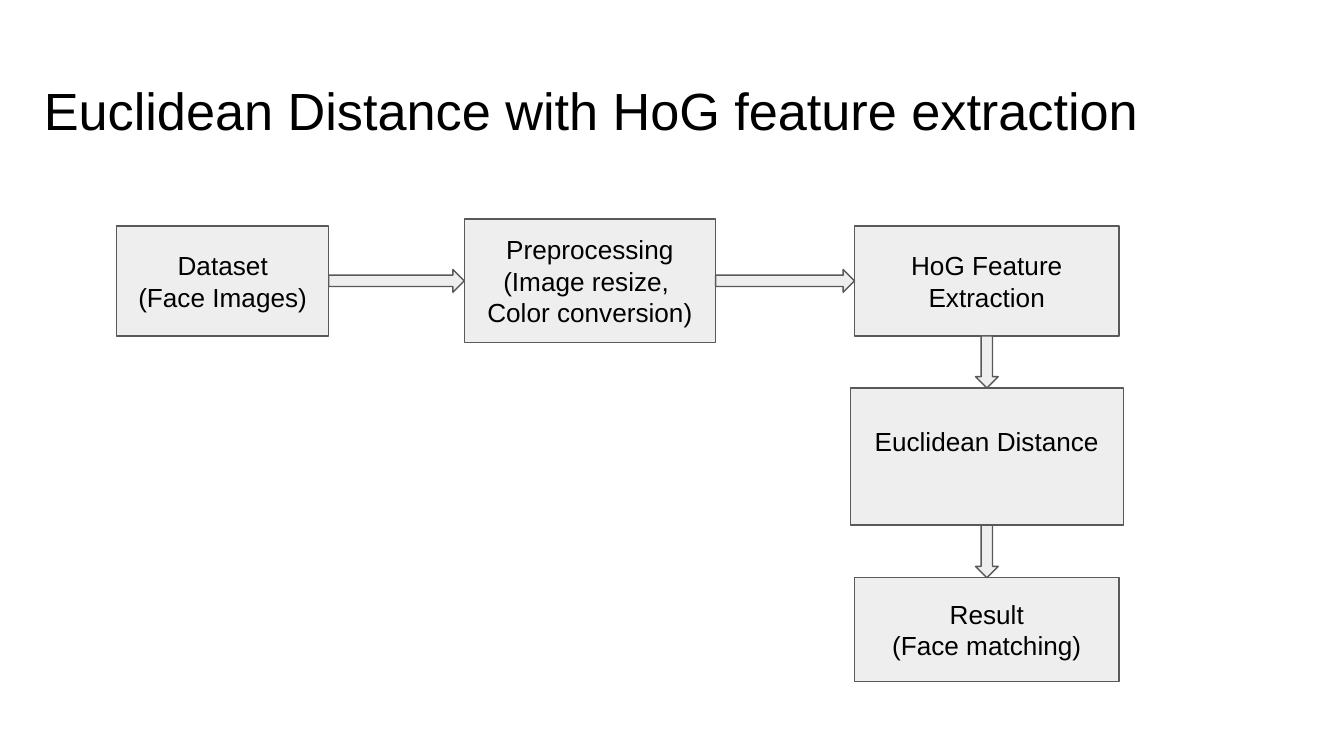
from dataclasses import dataclass

from pptx import Presentation
from pptx.dml.color import RGBColor
from pptx.enum.shapes import MSO_SHAPE
from pptx.enum.text import MSO_ANCHOR, PP_ALIGN
from pptx.util import Cm, Pt


@dataclass(frozen=True)
class Theme:
    font: str = "Arial"
    title_size: Pt = Pt(28)
    box_size: Pt = Pt(14)
    text: RGBColor = RGBColor(0x00, 0x00, 0x00)
    fill: RGBColor = RGBColor(0xEE, 0xEE, 0xEE)
    line: RGBColor = RGBColor(0x59, 0x59, 0x59)
    line_width: Pt = Pt(0.75)
    inset: Cm = Cm(0.25)
    arrow_thickness: Cm = Cm(0.43)


THEME = Theme()
ROW_Y = Cm(5.31)
COLUMN_X = Cm(18.65)


def write_lines(shape, lines, size, alignment):
    frame = shape.text_frame
    frame.word_wrap = True
    frame.vertical_anchor = MSO_ANCHOR.MIDDLE
    frame.margin_left = frame.margin_right = THEME.inset
    frame.margin_top = frame.margin_bottom = THEME.inset
    for index, line in enumerate(lines):
        paragraph = frame.add_paragraph() if index else frame.paragraphs[0]
        paragraph.text = line
        paragraph.alignment = alignment
        paragraph.font.name = THEME.font
        paragraph.font.size = size
        paragraph.font.color.rgb = THEME.text


def add_title(slide, text):
    title = slide.shapes.add_textbox(Cm(0.58), Cm(0.9), Cm(23.67), Cm(2.33))
    write_lines(title, [text], THEME.title_size, PP_ALIGN.LEFT)


def add_centered_shape(slide, kind, center_x, center_y, width, height):
    shape = slide.shapes.add_shape(
        kind, center_x - width // 2, center_y - height // 2, width, height)
    shape.shadow.inherit = False
    shape.fill.solid()
    shape.fill.fore_color.rgb = THEME.fill
    shape.line.color.rgb = THEME.line
    shape.line.width = THEME.line_width
    return shape


def add_box(slide, center_x, center_y, width, height, *lines):
    box = add_centered_shape(
        slide, MSO_SHAPE.RECTANGLE, center_x, center_y, width, height)
    write_lines(box, lines, THEME.box_size, PP_ALIGN.CENTER)
    return box


def add_arrow_right(slide, source, target):
    start = source.left + source.width
    add_centered_shape(slide, MSO_SHAPE.RIGHT_ARROW, (start + target.left) // 2,
                       ROW_Y, target.left - start, THEME.arrow_thickness)


def add_arrow_down(slide, source, target):
    start = source.top + source.height
    arrow = add_centered_shape(slide, MSO_SHAPE.RIGHT_ARROW, COLUMN_X,
                               (start + target.top) // 2, target.top - start,
                               THEME.arrow_thickness)
    arrow.rotation = 90


def main():
    presentation = Presentation()
    presentation.slide_width = Cm(25.4)
    presentation.slide_height = Cm(14.29)
    slide = presentation.slides.add_slide(presentation.slide_layouts[6])

    add_title(slide, "Euclidean Distance with HoG feature extraction")

    dataset = add_box(slide, Cm(4.21), ROW_Y, Cm(4.01), Cm(2.08),
                      "Dataset", "(Face Images)")
    preprocessing = add_box(slide, Cm(11.15), ROW_Y, Cm(4.75), Cm(2.34),
                            "Preprocessing", "(Image resize, ", "Color conversion)")
    features = add_box(slide, COLUMN_X, ROW_Y, Cm(5), Cm(2.08),
                       "HoG Feature Extraction")
    distance = add_box(slide, COLUMN_X, Cm(8.63), Cm(5.16), Cm(2.59),
                       "Euclidean Distance")
    # The label sits one line's half-height above the middle of its box.
    distance.text_frame.margin_bottom = Cm(0.82)
    result = add_box(slide, COLUMN_X, Cm(11.9), Cm(5), Cm(1.96),
                     "Result", "(Face matching)")

    add_arrow_right(slide, dataset, preprocessing)
    add_arrow_right(slide, preprocessing, features)
    add_arrow_down(slide, features, distance)
    add_arrow_down(slide, distance, result)

    presentation.save("out.pptx")


if __name__ == "__main__":
    main()
